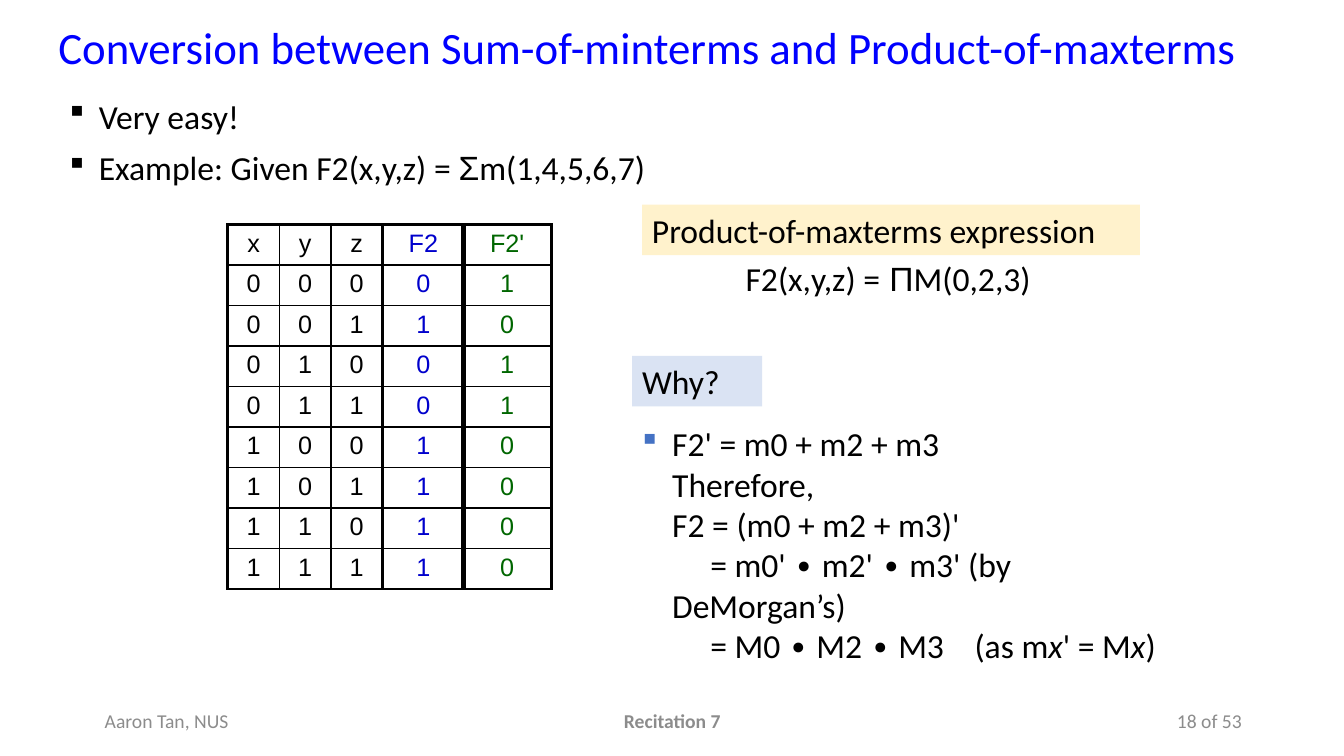
from lxml.etree import SubElement
from pptx import Presentation
from pptx.dml.color import RGBColor
from pptx.enum.shapes import MSO_SHAPE as Shape
from pptx.enum.text import MSO_ANCHOR as Anchor, PP_ALIGN as Align
from pptx.oxml.ns import qn
from pptx.util import Cm, Pt

COLOURS = {
    "title": "0000FF", "text": "000000", "footer": "8C8C8C", "f2": "0000CC",
    "complement": "006600", "bullet": "4472C4", "yellow": "FFF2CC", "blue": "DAE3F3",
}
TITLE = "Conversion between Sum-of-minterms and Product-of-maxterms"
# Text, left, width, alignment, bold
FOOTERS = [
    ("Aaron Tan, NUS", 2.39, 7.62, Align.LEFT, False),
    ("Recitation 7", 11.23, 11.43, Align.CENTER, True),
    ("18 of 53", 23.93, 7.62, Align.RIGHT, False),
]
# Runs are (text, font, italic)
EASY = [("Very easy!", "Calibri", False)]
EXAMPLE = [("Example: Given F2(x,y,z) = ", "Calibri", False), ("Σ", "Arial", False),
           ("m(1,4,5,6,7)", "Calibri", False)]
MAXTERMS = [("F2(x,y,z) =", "Calibri", False), (" Π", "Arial", False),
            ("M(0,2,3)", "Calibri", False)]
# Runs, first-line indent
PROOF = [
    ([("F2' = m0 + m2 + m3", "Calibri", False)], -0.76),
    ([("Therefore,", "Calibri", False)], 0),
    ([("F2 = (m0 + m2 + m3)'", "Calibri", False)], 0),
    ([("= m0' ∙ m2' ∙ m3' (by DeMorgan’s)", "Calibri", False)], 0.96),
    ([("= M0 ∙ M2 ∙ M3\t(as m", "Calibri", False), ("x", "Calibri", True),
      ("' = M", "Calibri", False), ("x", "Calibri", True), (")", "Calibri", False)], 0.96),
]
# Text, left, top, width, fill
LABELS = [
    ("Product-of-maxterms expression", 16.18, 5.16, 12.55, "yellow"),
    ("Why?", 15.93, 8.97, 3.28, "blue"),
]
MINTERMS = (1, 4, 5, 6, 7)
INPUTS = [[str(number >> bit & 1) for bit in (2, 1, 0)] for number in range(8)]
INPUT_TABLE = [["x", "y", "z", "F2"]] + [
    bits + [str(int(number in MINTERMS))] for number, bits in enumerate(INPUTS)]
COMPLEMENT_TABLE = [["F2'"]] + [[str(int(number not in MINTERMS))] for number in range(8)]
TABLE_TOP, ROW_HEIGHT = 5.66, 1.02
THICK, THIN = 2.25, 1


def colour(name):
    return RGBColor.from_string(COLOURS[name])


def style(paragraph, size, colour_name, name="Calibri", bold=False):
    font = paragraph.font
    font.size, font.name, font.bold = Pt(size), name, bold
    font.color.rgb = colour(colour_name)


def add_runs(paragraph, runs, size=24, colour_name="text"):
    style(paragraph, size, colour_name)
    for text, name, italic in runs:
        run = paragraph.add_run()
        run.text = text
        if name != "Calibri":
            run.font.name = name
        if italic:
            run.font.italic = True


def set_indent(paragraph, margin, indent):
    properties = paragraph._p.get_or_add_pPr()
    properties.set("marL", str(Cm(margin)))
    properties.set("indent", str(Cm(indent)))
    return properties


def add_bullet(properties, colour_name):
    bullet_colour = SubElement(properties, qn("a:buClr"))
    SubElement(bullet_colour, qn("a:srgbClr"), val=COLOURS[colour_name])
    SubElement(properties, qn("a:buFont"), typeface="Wingdings")
    SubElement(properties, qn("a:buChar"), char="§")


def add_box(slide, left, top, width, height):
    box = slide.shapes.add_textbox(Cm(left), Cm(top), Cm(width), Cm(height))
    box.text_frame.word_wrap = True
    return box.text_frame


def add_truth_table(slide, rows, left, widths, colour_names, thick_edges):
    """Draw a table; thick_edges numbers the heavy vertical lines from the left."""
    frame = slide.shapes.add_table(len(rows), len(widths), Cm(left), Cm(TABLE_TOP),
                                   Cm(sum(widths)), Cm(ROW_HEIGHT * len(rows)))
    table = frame.table
    table.first_row = table.horz_banding = False
    for column, width in zip(table.columns, widths):
        column.width = Cm(width)
    thick_rules = (0, 1, len(rows))
    for row, values in enumerate(rows):
        table.rows[row].height = Cm(ROW_HEIGHT)
        for column, value in enumerate(values):
            cell = table.cell(row, column)
            cell.text = value
            paragraph = cell.text_frame.paragraphs[0]
            paragraph.alignment = Align.CENTER
            style(paragraph, 18, colour_names[column], "Arial")
            properties = cell._tc.get_or_add_tcPr()
            edges = {"a:lnL": column in thick_edges, "a:lnR": column + 1 in thick_edges,
                     "a:lnT": row in thick_rules, "a:lnB": row + 1 in thick_rules}
            for tag, thick in edges.items():
                line = SubElement(properties, qn(tag), w=str(Pt(THICK if thick else THIN)))
                fill = SubElement(line, qn("a:solidFill"))
                SubElement(fill, qn("a:srgbClr"), val=COLOURS["text"])
            cell.fill.background()


def main():
    presentation = Presentation()
    presentation.slide_width, presentation.slide_height = Cm(33.87), Cm(19.05)
    slide = presentation.slides.add_slide(presentation.slide_layouts[6])

    for text, left, width, alignment, bold in FOOTERS:
        frame = add_box(slide, left, 17.65, width, 1.02)
        frame.vertical_anchor = Anchor.MIDDLE
        frame.text = text
        frame.paragraphs[0].alignment = alignment
        style(frame.paragraphs[0], 14, "footer", bold=bold)

    title = add_box(slide, 1.22, 0.38, 30.84, 1.93)
    title.text = TITLE
    style(title.paragraphs[0], 32, "title")

    for runs, top, width in [(EASY, 2.29, 5.92), (EXAMPLE, 3.58, 18.14)]:
        paragraph = add_box(slide, 1.5, top, width, 1.27).paragraphs[0]
        add_bullet(set_indent(paragraph, 0.74, -0.74), "text")
        add_runs(paragraph, runs)

    add_truth_table(slide, INPUT_TABLE, 5.74, [1.3, 1.3, 1.3, 2.06],
                    ["text", "text", "text", "f2"], (0, 3, 4))
    add_truth_table(slide, COMPLEMENT_TABLE, 11.66, [2.24], ["complement"], (0, 1))

    for text, left, top, width, fill in LABELS:
        label = slide.shapes.add_shape(Shape.RECTANGLE, Cm(left), Cm(top), Cm(width), Cm(1.27))
        label.shadow.inherit = False
        label.fill.solid()
        label.fill.fore_color.rgb = colour(fill)
        label.line.fill.background()
        frame = label.text_frame
        frame.vertical_anchor = Anchor.TOP
        frame.text = text
        frame.paragraphs[0].alignment = Align.LEFT
        style(frame.paragraphs[0], 24, "text")

    add_runs(add_box(slide, 18.54, 6.38, 8.23, 1.27).paragraphs[0], MAXTERMS)

    proof = add_box(slide, 15.93, 10.54, 14.02, 6.22)
    for index, (runs, indent) in enumerate(PROOF):
        paragraph = proof.add_paragraph() if index else proof.paragraphs[0]
        properties = set_indent(paragraph, 0.76, indent)
        if index == 0:
            add_bullet(properties, "bullet")
        if "\t" in runs[0][0]:
            tabs = SubElement(properties, qn("a:tabLst"))
            SubElement(tabs, qn("a:tab"), pos=str(Cm(8.18)), algn="l")
        add_runs(paragraph, runs)

    presentation.save("out.pptx")


if __name__ == "__main__":
    main()
